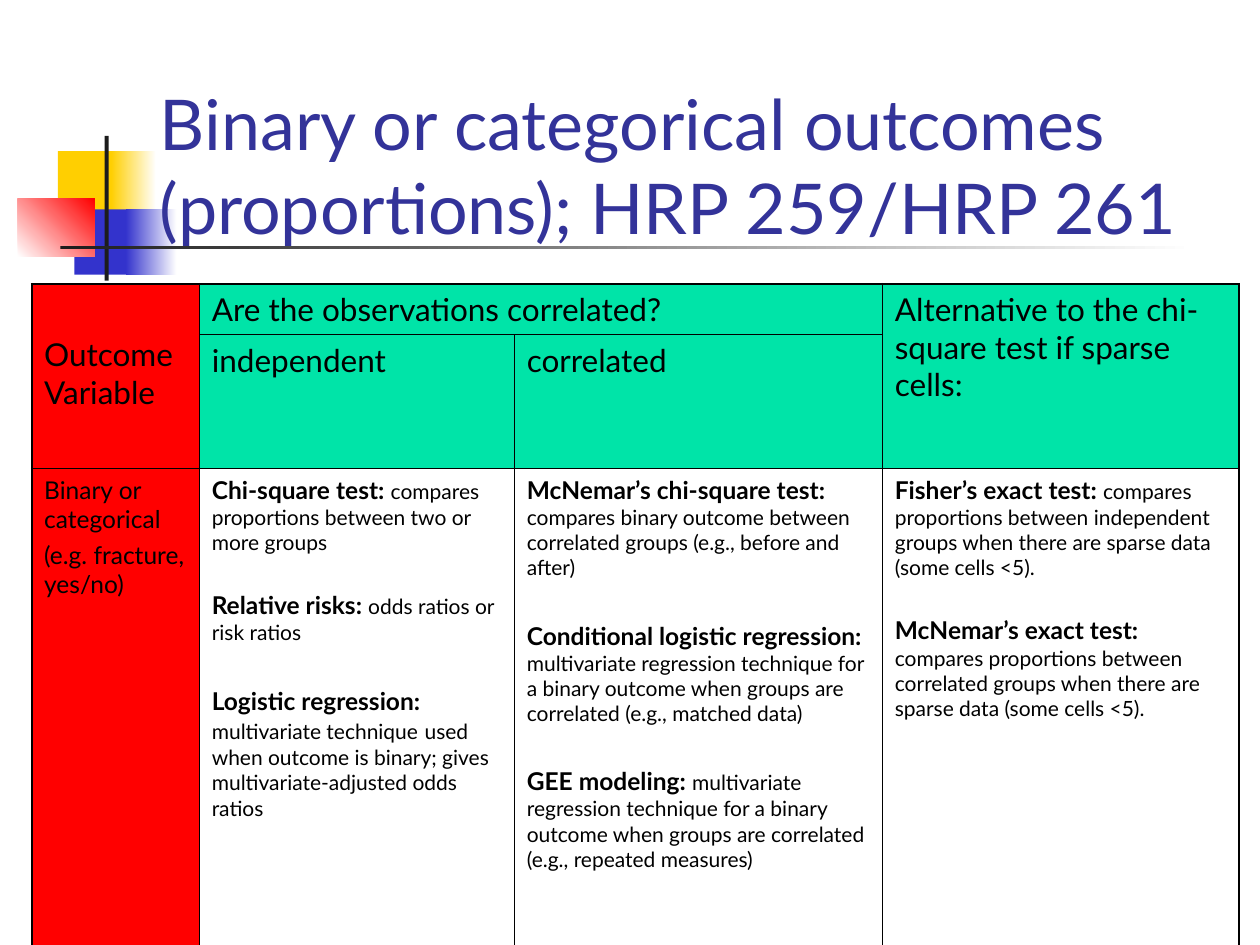
import lxml.etree
import pptx
import pptx.dml.color
import pptx.enum.shapes
import pptx.enum.text
import pptx.oxml.ns
import pptx.util

Cm, Pt = pptx.util.Cm, pptx.util.Pt
rgb = pptx.dml.color.RGBColor.from_string

theme = {
    "font": "Lato",
    "title": "333399", "text": "000000", "white": "FFFFFF",
    "yellow": "FFCF01", "blue": "3333CC", "red": "FF0000",
    "dark": "1C1C1C", "green": "00E4A8",
    "title size": 40, "header size": 18, "lead size": 14, "detail size": 12,
    "inner line": 0.45, "outer line": 1.08,
}


def add_span(para, text, size, color="text", bold=False):
    span = para.add_run()
    span.text = text
    values = {"name": theme["font"], "size": Pt(theme[size]), "bold": bold}
    for name, value in values.items():
        setattr(span.font, name, value)
    span.font.color.rgb = rgb(theme[color])


def add_border(cell, position, side, width):
    line = lxml.etree.Element(pptx.oxml.ns.qn(f"a:ln{side}"), w=str(Pt(width)))
    fill = lxml.etree.SubElement(line, pptx.oxml.ns.qn("a:solidFill"))
    lxml.etree.SubElement(fill, pptx.oxml.ns.qn("a:srgbClr"), val=theme["text"])
    cell._tc.get_or_add_tcPr().insert(position, line)


deck = pptx.Presentation()
deck.slide_width, deck.slide_height = Cm(25.4), Cm(19.05)
page = deck.slides.add_slide(deck.slide_layouts[5])

# Corner ornament: left, top, width, height, colours, gradient angle
ornaments = [
    (1.17, 3.05, 1.22, 1.32, ["yellow"], 0),
    (2.24, 3.05, 0.91, 1.32, ["yellow", "white"], 0),
    (1.5, 4.22, 1.17, 1.32, ["blue"], 0),
    (2.54, 4.22, 1.02, 1.32, ["blue", "white"], 0),
    (0.36, 4.01, 1.55, 1.17, ["white", "red"], 45),
    (2.11, 2.74, 0.08, 2.92, ["dark"], 0),
    (1.22, 4.95, 22.86, 0.08, ["dark", "white"], 0),
]
for *place, colors, angle in ornaments:
    block = page.shapes.add_shape(
        pptx.enum.shapes.MSO_SHAPE.RECTANGLE, *map(Cm, place))
    block.shadow.inherit = False
    block.line.fill.background()
    if len(colors) == 1:
        block.fill.solid()
        block.fill.fore_color.rgb = rgb(theme[colors[0]])
    else:
        block.fill.gradient()
        block.fill.gradient_angle = angle
        for stop, color in zip(block.fill.gradient_stops, colors):
            stop.color.rgb = rgb(theme[color])

# Title, in front of the ornament
title = page.shapes.title
bounds = {"left": 2.97, "top": 1.07, "width": 21.64, "height": 4.06}
for name, value in bounds.items():
    setattr(title, name, Cm(value))
frame = title.text_frame
frame.word_wrap = True
frame.auto_size = pptx.enum.text.MSO_AUTO_SIZE.NONE
frame.vertical_anchor = pptx.enum.text.MSO_ANCHOR.BOTTOM
frame.paragraphs[0].alignment = pptx.enum.text.PP_ALIGN.LEFT
add_span(frame.paragraphs[0],
         "Binary or categorical outcomes (proportions); HRP 259/HRP 261",
         "title size", "title")
page.shapes._spTree.append(title._element)

# Table grid
widths = [3.38, 6.35, 7.42, 7.19]
heights = [1.02, 2.69, 9.96]
table = page.shapes.add_table(
    len(heights), len(widths), Cm(0.64), Cm(5.72),
    Cm(sum(widths)), Cm(sum(heights))).table
table.first_row = table.horz_banding = False
for column, width in zip(table.columns, widths):
    column.width = Cm(width)
for row, height in zip(table.rows, heights):
    row.height = Cm(height)
for start, end in [((0, 0), (1, 0)), ((0, 1), (0, 2)), ((0, 3), (1, 3))]:
    table.cell(*start).merge(table.cell(*end))

# Fills, margins and borders
margins = {"margin_left": 0.25, "margin_right": 0.25,
           "margin_top": 0.13, "margin_bottom": 0.13}
last_row, last_column = len(heights) - 1, len(widths) - 1
for r in range(len(heights)):
    for c in range(len(widths)):
        cell = table.cell(r, c)
        for name, value in margins.items():
            setattr(cell, name, Cm(value))
        if c == 0 or r < last_row:
            cell.fill.solid()
            cell.fill.fore_color.rgb = rgb(theme["red" if c == 0 else "green"])
        else:
            cell.fill.background()
        outer = {"L": c == 0, "R": c == last_column,
                 "T": r == 0, "B": r == last_row}
        for position, (side, on_edge) in enumerate(outer.items()):
            add_border(cell, position, side,
                       theme["outer line" if on_edge else "inner line"])
table.cell(0, 0).margin_top = Cm(1.05)

# Header cells
headers = {
    (0, 0): "Outcome Variable",
    (0, 1): "Are the observations correlated?",
    (0, 3): "Alternative to the chi-square test if sparse cells:",
    (1, 1): "independent",
    (1, 2): "correlated",
}
for place, text in headers.items():
    add_span(table.cell(*place).text_frame.paragraphs[0], text, "header size")

# Body cells: each paragraph has its space before and its spans
lead, detail = "lead size", "detail size"
wide, narrow = 23.3, 20.4
body = [
    [(0, [("Binary or categorical", lead, False)]),
     (3.5, [("(e.g. fracture, yes/no)", lead, False)])],
    [(0, [("Chi-square test: ", lead, True),
          ("compares proportions between two or more groups", detail, False)]),
     (narrow, [("Relative risks: ", lead, True),
               ("odds ratios or risk ratios", detail, False)]),
     (wide, [("Logistic regression: ", lead, True),
             ("multivariate technique", detail, False),
             (" ", lead, False),
             ("used when outcome is binary; gives multivariate-adjusted "
              "odds ratios", detail, False)])],
    [(0, [("McNemar’s chi-square test: ", lead, True),
          ("compares binary outcome between correlated groups "
           "(e.g., before and after)", detail, False)]),
     (wide, [("Conditional logistic regression: ", lead, True),
             ("multivariate regression technique for a binary outcome when "
              "groups are correlated (e.g., matched data)", detail, False)]),
     (wide, [("GEE modeling: ", lead, True),
             ("multivariate regression technique for a binary outcome when "
              "groups are correlated (e.g., repeated measures)",
              detail, False)])],
    [(0, [("Fisher’s exact test: ", lead, True),
          ("compares proportions between independent groups when there are "
           "sparse data (some cells <5).", detail, False)]),
     (narrow, [("McNemar’s exact test: ", lead, True),
               ("compares proportions between correlated groups when there "
                "are sparse data (some cells <5).", detail, False)])],
]
for c, paragraphs in enumerate(body):
    frame = table.cell(last_row, c).text_frame
    for index, (gap, spans) in enumerate(paragraphs):
        para = frame.add_paragraph() if index else frame.paragraphs[0]
        if gap:
            para.space_before = Pt(gap)
        for text, size, bold in spans:
            add_span(para, text, size, bold=bold)

deck.save("out.pptx")
